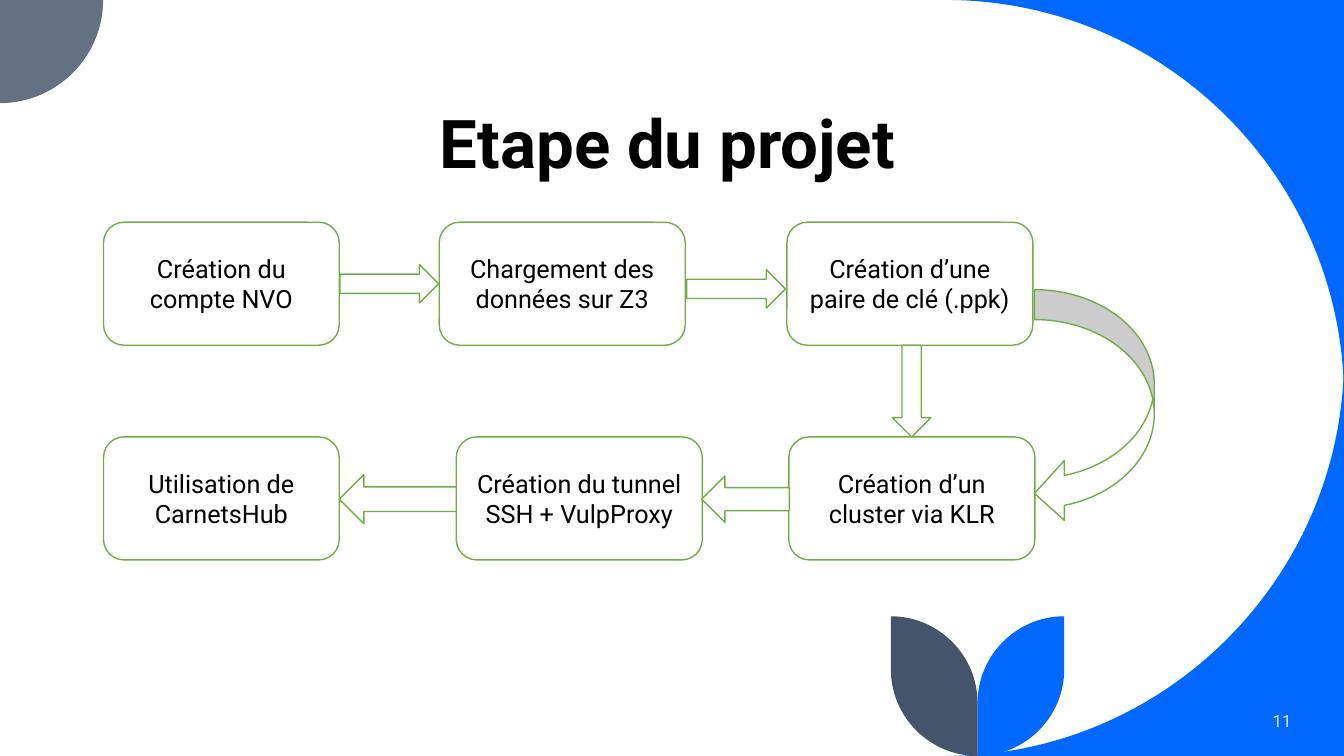
from dataclasses import dataclass

from pptx import Presentation
from pptx.dml.color import RGBColor
from pptx.enum.shapes import MSO_SHAPE as Preset
from pptx.enum.text import MSO_ANCHOR as Anchor, PP_ALIGN as Align
from pptx.oxml.ns import qn
from pptx.util import Cm, Pt


@dataclass(frozen=True)
class Theme:
    font: str = "Roboto"
    blue: str = "0068FF"
    slate: str = "637183"
    navy: str = "44546A"
    green: str = "70AD47"
    white: str = "FFFFFF"
    black: str = "000000"
    pale: str = "DAE5EF"
    title_size: int = 48
    body_size: int = 18
    number_size: int = 12
    line_width: int = 1


THEME = Theme()
WIDTH, HEIGHT = 33.87, 19.05
ROUNDNESS = 0.55


def color(value):
    return RGBColor.from_string(value)


def quarter(start, corner, end):
    handles = [
        tuple(a + (b - a) * ROUNDNESS for a, b in zip(point, corner))
        for point in (start, end)
    ]
    return [*handles, end]


def add_outline(slide, start, segments, fill):
    points = [(Cm(x), Cm(y)) for segment in segments for x, y in segment]
    builder = slide.shapes.build_freeform(Cm(start[0]), Cm(start[1]), scale=1)
    builder.add_line_segments(points, close=True)
    shape = builder.convert_to_shape()
    lines = iter(list(shape.element.iter(qn("a:lnTo"))))
    for segment in segments:
        first, *others = [next(lines) for _ in segment]
        if others:
            first.tag = qn("a:cubicBezTo")
        for line in others:
            first.append(line[0])
            line.getparent().remove(line)
    shape.shadow.inherit = False
    shape.fill.solid()
    shape.fill.fore_color.rgb = color(fill)
    shape.line.fill.background()


def write(shape, text, size, ink, align, anchor, bold=False, spacing=None):
    frame = shape.text_frame
    frame.word_wrap = True
    frame.vertical_anchor = anchor
    paragraph = frame.paragraphs[0]
    paragraph.alignment = align
    if spacing:
        paragraph.line_spacing = spacing
    run = paragraph.add_run()
    run.text = text
    run.font.name = THEME.font
    run.font.size = Pt(size)
    run.font.bold = bold
    run.font.color.rgb = color(ink)


def add_text(slide, box, text, *style, **options):
    shape = slide.shapes.add_textbox(*map(Cm, box))
    write(shape, text, *style, **options)


def add_preset(slide, preset, box):
    shape = slide.shapes.add_shape(preset, *map(Cm, box))
    shape.shadow.inherit = False
    shape.fill.solid()
    shape.fill.fore_color.rgb = color(THEME.white)
    shape.line.color.rgb = color(THEME.green)
    shape.line.width = Pt(THEME.line_width)
    return shape


def draw_background(slide, width, height):
    radius, small = 10.03, 2.6
    for edge, middle in ((0, radius), (height, height - radius)):
        start, corner, end = (width - radius, edge), (width, edge), (width, middle)
        add_outline(slide, start, [quarter(start, corner, end), [corner]], THEME.blue)
    start, corner, end = (small, 0), (small, small), (0, small)
    add_outline(slide, (0, 0), [[start], quarter(start, corner, end)], THEME.slate)


def draw_leaves(slide, left, top, width, height):
    radius = width / 2
    stem, bottom = left + radius, top + height
    for outer, fill in ((left + width, THEME.blue), (left, THEME.navy)):
        tip, side = (outer, top), (outer, bottom - radius)
        foot, inner = (stem, bottom), (stem, top + radius)
        add_outline(slide, tip, [
            [side],
            quarter(side, (outer, bottom), foot),
            [inner],
            quarter(inner, (stem, top), tip),
        ], fill)


def draw_row(slide, top, height, steps, arrow, arrow_sizes):
    for text, left, width in steps:
        shape = add_preset(slide, Preset.ROUNDED_RECTANGLE, (left, top, width, height))
        write(shape, text, THEME.body_size, THEME.black, Align.CENTER, Anchor.MIDDLE)
    for before, after, (length, thickness, shift) in zip(steps, steps[1:], arrow_sizes):
        arrow_left = (before[1] + before[2] + after[1] - length) / 2
        arrow_top = top + (height - thickness) / 2 + shift
        add_preset(slide, arrow, (arrow_left, arrow_top, length, thickness))


def draw_process(slide, left, top, box_height, row_gap):
    narrow, wide = 5.94, 6.2
    right = left + 17.22
    draw_row(slide, top, box_height, [
        ("Création du compte NVO", left, narrow),
        ("Chargement des données sur Z3", left + 8.46, wide),
        ("Création d’une paire de clé (.ppk)", right, wide),
    ], Preset.RIGHT_ARROW, [(2.49, 0.97, 0), (2.49, 0.97, 0.13)])
    draw_row(slide, top + box_height + row_gap, box_height, [
        ("Utilisation de CarnetsHub", left, narrow),
        ("Création du tunnel SSH + VulpProxy", left + 8.89, wide),
        ("Création d’un cluster via KLR", right + 0.05, wide),
    ], Preset.LEFT_ARROW, [(2.95, 1.24, 0.02), (2.21, 1.17, 0.02)])
    add_preset(slide, Preset.DOWN_ARROW, (right + 2.66, top + box_height, 0.97, row_gap))
    add_preset(slide, Preset.CURVED_LEFT_ARROW, (right + wide + 0.04, top + 1.7, 3.02, 5.89))


def main():
    presentation = Presentation()
    presentation.slide_width, presentation.slide_height = Cm(WIDTH), Cm(HEIGHT)
    slide = presentation.slides.add_slide(presentation.slide_layouts[6])
    draw_background(slide, WIDTH, HEIGHT)
    draw_leaves(slide, 22.45, 15.53, 4.37, 3.52)
    add_text(slide, (3.25, 1.07, 27.15, 3.68), "Etape du projet", THEME.title_size,
             THEME.black, Align.CENTER, Anchor.BOTTOM, bold=True, spacing=0.9)
    add_text(slide, (28.2, 17.65, 4.6, 1.02), "11", THEME.number_size,
             THEME.pale, Align.RIGHT, Anchor.MIDDLE)
    draw_process(slide, 2.61, 5.6, 3.1, 2.31)
    presentation.save("out.pptx")


if __name__ == "__main__":
    main()
